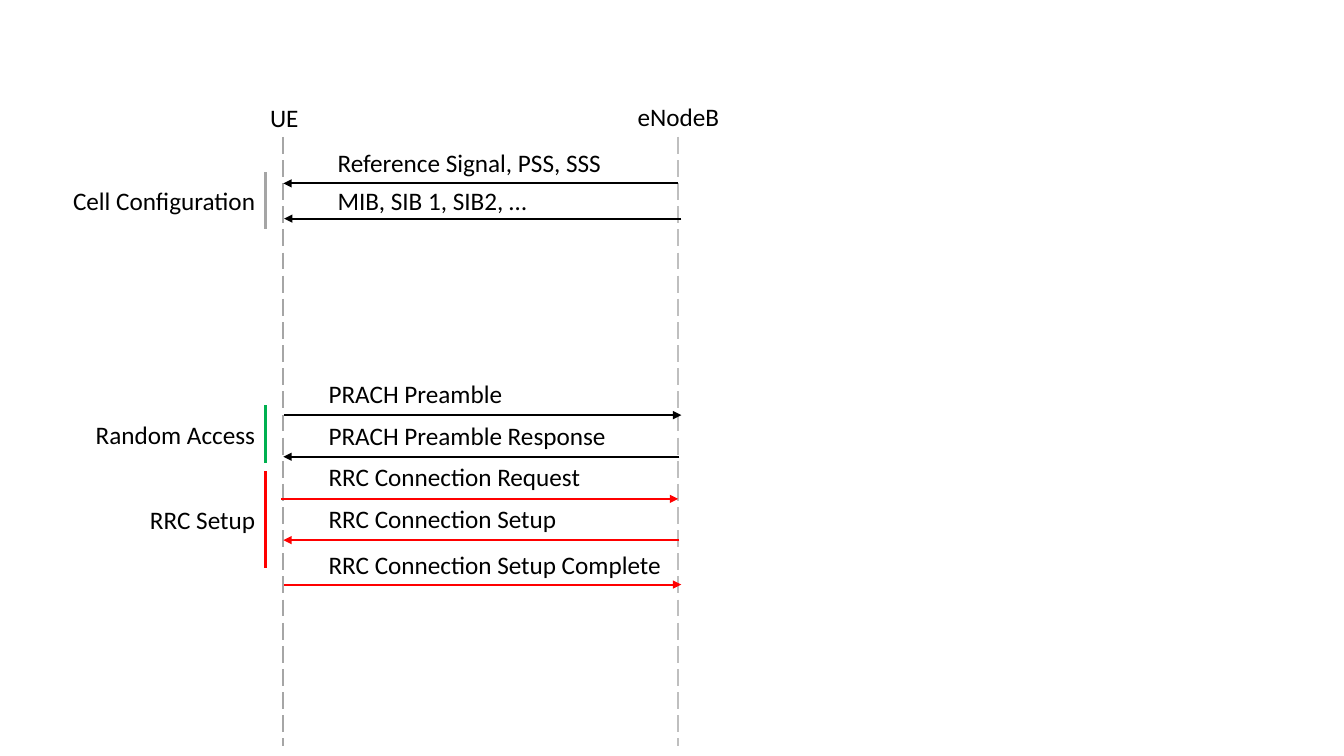
from pptx import Presentation
from pptx import util as u
from pptx.dml.color import RGBColor
from pptx.enum import dml, shapes, text
from pptx.oxml.ns import qn
from lxml import etree


def rgb(code):
    return RGBColor.from_string(code)


class Chart:
    """Sequence chart on one slide, measured in centimetres."""
    font, size, ink = "Calibri", 18, "000000"
    weight, high = 1.5, 1.02

    def __init__(self, slide):
        self.items = slide.shapes

    def label(self, words, left, top, wide, align=text.PP_ALIGN.LEFT):
        box = self.items.add_textbox(u.Cm(left), u.Cm(top), u.Cm(wide), u.Cm(self.high))
        frame = box.text_frame
        frame.word_wrap = True
        frame.auto_size = text.MSO_AUTO_SIZE.SHAPE_TO_FIT_TEXT
        para = frame.paragraphs[0]
        para.text = words
        para.alignment = align
        para.font.name, para.font.size = self.font, u.Pt(self.size)
        para.font.color.rgb = rgb(self.ink)

    def line(self, start, end, color):
        link = self.items.add_connector(
            shapes.MSO_CONNECTOR.STRAIGHT, *map(u.Cm, start + end))
        link.line.color.rgb = rgb(color)
        link.line.width = u.Pt(self.weight)
        etree.SubElement(link._element.spPr, qn("a:effectLst"))
        return link

    def life(self, left, color):
        link = self.line((left, 3.45), (left, 18.8), color)
        link.line.dash_style = dml.MSO_LINE.LONG_DASH

    def arrow(self, start, end, color):
        link = self.line(start, end, color)
        tip = etree.SubElement(link.line._get_or_add_ln(), qn("a:tailEnd"))
        tip.set("type", "triangle")

    def phase(self, words, top, tall, color):
        bar = self.items.add_shape(shapes.MSO_SHAPE.RECTANGLE,
                                   u.Cm(6.63), u.Cm(top), u.Cm(0.13), u.Cm(tall))
        bar.shadow.inherit = False
        bar.fill.solid()
        bar.fill.fore_color.rgb = rgb(color)
        bar.line.color.rgb = rgb("FFFFFF")
        bar.line.width = u.Pt(1)
        middle = top + (tall - self.high) / 2
        self.label(words, 1.27, middle, 5.41, text.PP_ALIGN.RIGHT)


deck = Presentation()
deck.slide_width, deck.slide_height = u.Cm(33.87), u.Cm(19.05)
chart = Chart(deck.slides.add_slide(deck.slide_layouts[6]))

nodes = [("UE", 5.82, 2.46, 7.14, "A6A6A6"),
         ("eNodeB", 15.75, 2.44, 17.09, "BFBFBF")]
for name, left, top, axis, color in nodes:
    chart.life(axis, color)
    chart.label(name, left, top, 2.69, text.PP_ALIGN.CENTER)

black, red = "000000", "FF0000"
signals = [
    ("Reference Signal, PSS, SSS", 8.26, 3.58, 4.62, 17.09, 7.14, black),
    ("MIB, SIB 1, SIB2, …", 8.26, 4.55, 5.51, 17.17, 7.16, black),
    ("PRACH Preamble", 8.03, 9.42, 10.46, 7.16, 17.17, black),
    ("PRACH Preamble Response", 8.03, 10.46, 11.51, 17.12, 7.14, black),
    ("RRC Connection Request", 8.03, 11.51, 12.57, 7.09, 17.09, red),
    ("RRC Connection Setup", 8.03, 12.57, 13.61, 17.12, 7.14, red),
    ("RRC Connection Setup Complete", 8.03, 13.72, 14.73, 7.16, 17.17, red),
]
for words, left, top, level, start, end, color in signals:
    chart.arrow((start, level), (end, level), color)
    chart.label(words, left, top, 9.07)

phases = [("Cell Configuration", 4.32, 1.47, "A5A5A5"),
          ("Random Access", 10.19, 1.5, "00B050"),
          ("RRC Setup", 11.84, 2.49, red)]
for item in phases:
    chart.phase(*item)

deck.save("out.pptx")
